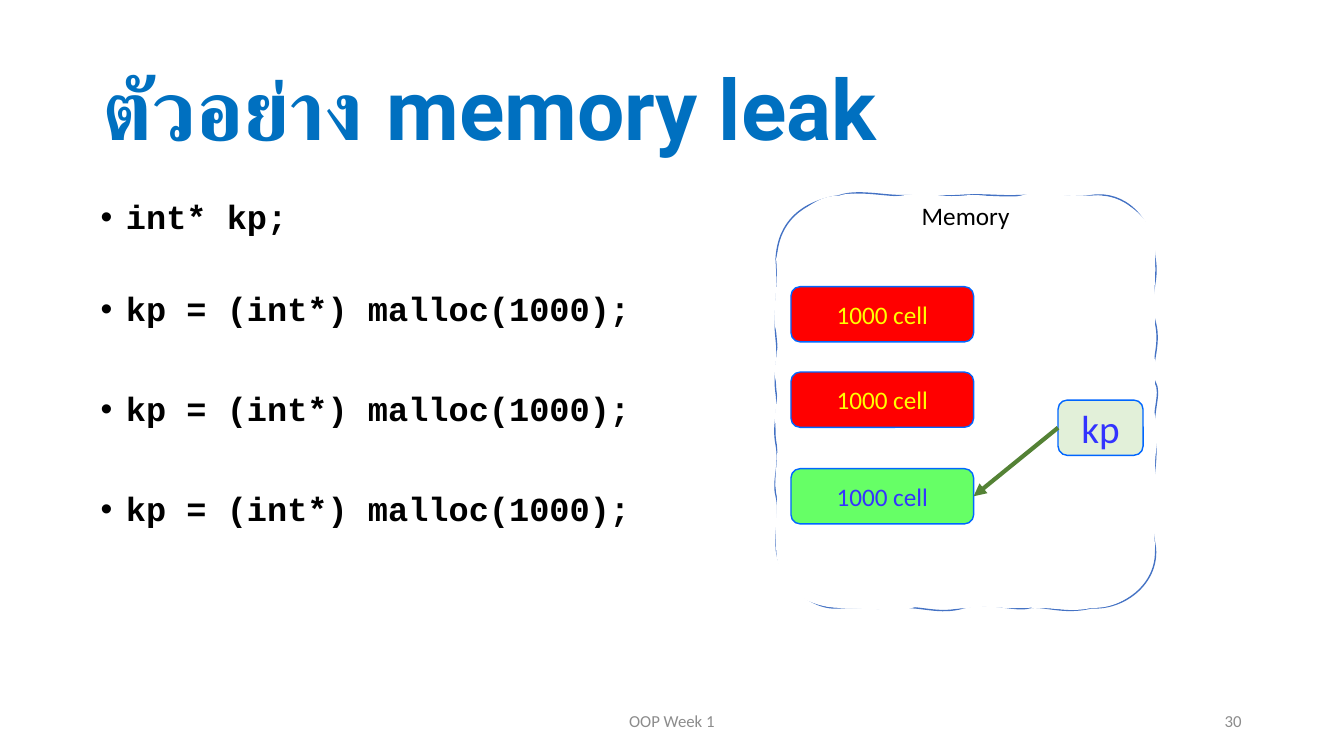
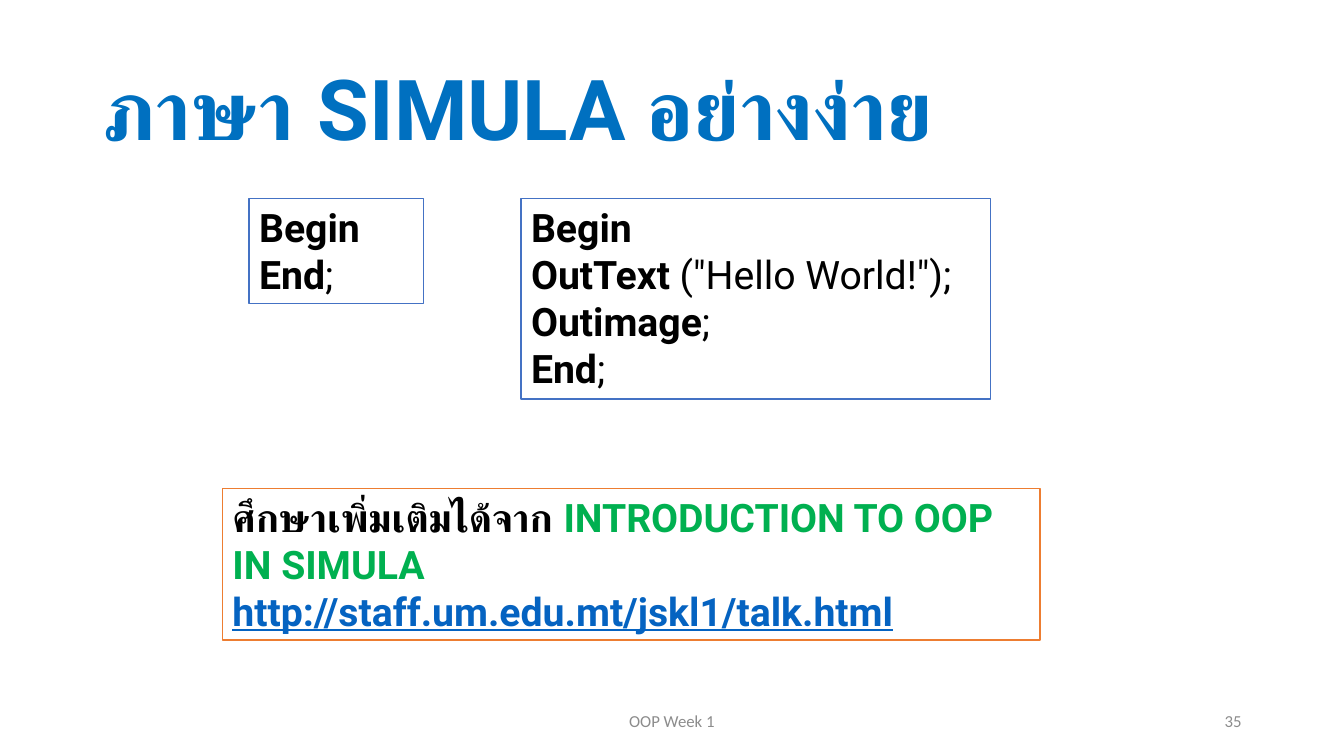
from lxml import etree
from pptx import Presentation
from pptx.dml.color import RGBColor
from pptx.enum.shapes import MSO_CONNECTOR, MSO_SHAPE
from pptx.enum.text import MSO_ANCHOR, MSO_AUTO_SIZE, PP_ALIGN
from pptx.oxml.ns import qn
from pptx.util import Pt

RECT, ROUND = MSO_SHAPE.RECTANGLE, MSO_SHAPE.ROUNDED_RECTANGLE
STRAIGHT = MSO_CONNECTOR.STRAIGHT
LEFT, MID, RIGHT = PP_ALIGN.LEFT, PP_ALIGN.CENTER, PP_ALIGN.RIGHT
TOP, CENTER = MSO_ANCHOR.TOP, MSO_ANCHOR.MIDDLE
FIXED = MSO_AUTO_SIZE.NONE

# Shared style
SANS, HEAD, CODE = "Calibri", "Roboto", "Courier New"
BLACK, WHITE, GREY = "000000", "FFFFFF", "8C8C8C"
BLUE, EDGE, RIM = "0070C0", "4472C4", "0066FF"
RED, LIME, PALE = "FF0000", "66FF66", "E2F0D9"
YELLOW, INK, ARROW = "FFFF00", "3333FF", "548235"
ORANGE, GREEN, LINK = "ED7D31", "00B050", "0563C1"


def write(par, text, size, color, face=SANS, bold=False):
    run = par.add_run()
    run.text = text
    font = run.font
    font.size, font.name, font.bold = Pt(size), face, bold
    font.color.rgb = RGBColor.from_string(color)
    return run


def paint(shape, fill, line):
    shape.shadow.inherit = False
    for part, color in ((shape.fill, fill), (shape.line.fill, line)):
        part.solid()
        part.fore_color.rgb = RGBColor.from_string(color)
    shape.line.width = Pt(1)


deck = Presentation()
deck.slide_width, deck.slide_height = Pt(960), Pt(540)

# Titles and footers
pages = []
for kind, head, number in ((1, "ตัวอย่าง memory leak", "30"),
                           (5, "ภาษา SIMULA อย่างง่าย", "35")):
    slide = deck.slides.add_slide(deck.slide_layouts[kind])
    pages.append(slide)
    title = slide.shapes.title
    title.left, title.top, title.width, title.height = map(Pt, (66, 28.75, 828, 104.5))
    frame = title.text_frame
    frame.auto_size, frame.vertical_anchor = FIXED, CENTER
    par = frame.paragraphs[0]
    par.alignment, par.line_spacing = LEFT, 0.9
    write(par, head, 60, BLUE, HEAD, True)
    for left, width, align, text in ((318, 324, MID, "OOP Week 1"),
                                     (678, 216, RIGHT, number)):
        foot = slide.shapes.add_textbox(Pt(left), Pt(500.5), Pt(width), Pt(28.75))
        frame = foot.text_frame
        frame.word_wrap, frame.vertical_anchor = True, CENTER
        par = frame.paragraphs[0]
        par.alignment = align
        write(par, text, 12, GREY)
leak, simula = pages

# Slide 1: code list
body = leak.placeholders[1]
body.left, body.top, body.width, body.height = map(Pt, (64.75, 139.5, 420.5, 272))
frame = body.text_frame
frame.auto_size = FIXED
CALL = "kp = (int*) malloc(1000);"
for i, (text, gap) in enumerate((("int* kp;", 0), (CALL, 40), (CALL, 45.5), (CALL, 45.5))):
    par = frame.add_paragraph() if i else frame.paragraphs[0]
    props = par._p.get_or_add_pPr()
    props.set("marL", str(Pt(18)))
    props.set("indent", str(-Pt(18)))
    par.line_spacing, par.space_before = 0.9, Pt(gap)
    write(par, text, 24, BLACK, CODE, True)

# Hand-drawn memory frame: start point, then curves (two controls and an end),
# in hundredths of an inch
STROKE = (
    (770, 257), (772, 220, 795, 200, 833, 194), (850, 188, 876, 194, 893, 194),
    (910, 194, 926, 195, 951, 194), (975, 192, 991, 195, 1011, 194),
    (1030, 193, 1066, 197, 1083, 194), (1115, 189, 1144, 215, 1146, 257),
    (1150, 280, 1139, 293, 1146, 319), (1153, 345, 1139, 366, 1146, 379),
    (1153, 391, 1142, 408, 1146, 436), (1150, 463, 1137, 494, 1146, 541),
    (1151, 577, 1117, 605, 1083, 603), (1055, 610, 1034, 600, 1021, 603),
    (1008, 607, 979, 596, 956, 603), (932, 610, 913, 601, 895, 603),
    (878, 606, 862, 601, 833, 603), (798, 606, 770, 568, 770, 541),
    (769, 525, 774, 508, 770, 492), (766, 476, 774, 462, 770, 441),
    (766, 420, 773, 411, 770, 390), (767, 369, 773, 362, 770, 336),
    (767, 310, 773, 296, 770, 257))
COVER = (
    (770, 257), (777, 226, 801, 194, 833, 194), (850, 188, 866, 199, 895, 194),
    (925, 189, 931, 197, 956, 194), (981, 191, 990, 201, 1013, 194),
    (1037, 187, 1052, 197, 1083, 194), (1108, 191, 1152, 215, 1146, 257),
    (1146, 277, 1145, 294, 1146, 308), (1147, 321, 1143, 339, 1146, 359),
    (1149, 379, 1141, 389, 1146, 413), (1151, 436, 1145, 448, 1146, 467),
    (1147, 486, 1143, 516, 1146, 541), (1143, 575, 1120, 604, 1083, 603),
    (1061, 608, 1049, 602, 1016, 603), (982, 604, 986, 600, 961, 603),
    (935, 606, 919, 598, 905, 603), (892, 608, 855, 603, 833, 603),
    (795, 602, 770, 579, 770, 541), (768, 517, 773, 500, 770, 487),
    (767, 474, 774, 451, 770, 427), (766, 403, 775, 393, 770, 379),
    (765, 364, 776, 341, 770, 328), (765, 314, 773, 282, 770, 257))
pen = leak.shapes.build_freeform(*STROKE[0], scale=Pt(0.72))
pen.add_line_segments([curve[-2:] for curve in STROKE[1:]], close=True)
memory = pen.convert_to_shape()
paint(memory, WHITE, EDGE)

# Curved paths: an outline without fill, then a fill without outline
paths = memory._element.spPr.find(".//" + qn("a:pathLst"))
size = dict(paths[0].attrib)
paths.remove(paths[0])
for curves, key, value in ((STROKE, "fill", "none"), (COVER, "stroke", "0")):
    trail = etree.SubElement(paths, qn("a:path"), {**size, key: value})
    for curve in curves:
        tag = "a:cubicBezTo" if len(curve) == 6 else "a:moveTo"
        step = etree.SubElement(trail, qn(tag))
        for x, y in zip(curve[::2], curve[1::2]):
            etree.SubElement(step, qn("a:pt"), x=str(x - 770), y=str(y - 194))
    etree.SubElement(trail, qn("a:close"))
frame = memory.text_frame
frame.word_wrap, frame.vertical_anchor = True, TOP
par = frame.paragraphs[0]
par.alignment = MID
write(par, "Memory", 18, BLACK)

# Memory cells and the pointer
cells = []
for left, top, width, text, size, fill, color in (
        (565, 204.75, 130.5, "1000 cell", 18, RED, YELLOW),
        (565, 265.75, 130.5, "1000 cell", 18, RED, YELLOW),
        (565, 334.75, 130.5, "1000 cell", 18, LIME, INK),
        (755.75, 285.75, 60.75, "kp", 28, PALE, INK)):
    cell = leak.shapes.add_shape(ROUND, Pt(left), Pt(top), Pt(width), Pt(39.5))
    paint(cell, fill, RIM)
    cell.text_frame.vertical_anchor = CENTER
    par = cell.text_frame.paragraphs[0]
    par.alignment = MID
    write(par, text, size, color)
    cells.append(cell)
arrow = leak.shapes.add_connector(STRAIGHT, 0, 0, 0, 0)
arrow.begin_connect(cells[3], 1)
arrow.end_connect(cells[2], 3)
arrow.line.width = Pt(3)
arrow.line.color.rgb = RGBColor.from_string(ARROW)
etree.SubElement(arrow.line._get_or_add_ln(), qn("a:tailEnd")).set("type", "triangle")
etree.SubElement(arrow._element.spPr, qn("a:effectLst"))

# Slide 2: boxes of lines, each line a list of (text, colour, bold)
begin = [("Begin", BLACK, True)]
semi = (";", BLACK, False)
end = [("End", BLACK, True), semi]
for spot, line, rows in (
        ((178, 141.75, 124.5, 75), EDGE, [begin, end]),
        ((372.25, 141.75, 335.5, 143.25), EDGE, [
            begin,
            [("OutText", BLACK, True), (' ("Hello World!");', BLACK, False)],
            [("Outimage", BLACK, True), semi],
            end]),
        ((159, 348.75, 584, 108.5), ORANGE, [
            [("ศึกษาเพิ่มเติมได้จาก ", BLACK, True),
             ("INTRODUCTION TO OOP IN SIMULA", GREEN, True)],
            [("http://staff.um.edu.mt/jskl1/talk.html", LINK, True)]])):
    box = simula.shapes.add_shape(RECT, *map(Pt, spot))
    paint(box, WHITE, line)
    frame = box.text_frame
    frame.word_wrap, frame.vertical_anchor = True, TOP
    for i, row in enumerate(rows):
        par = frame.add_paragraph() if i else frame.paragraphs[0]
        par.alignment = LEFT
        for text, color, bold in row:
            run = write(par, text, 28, color, HEAD, bold)
            if color == LINK:
                run.font.underline = True

deck.save("out.pptx")
